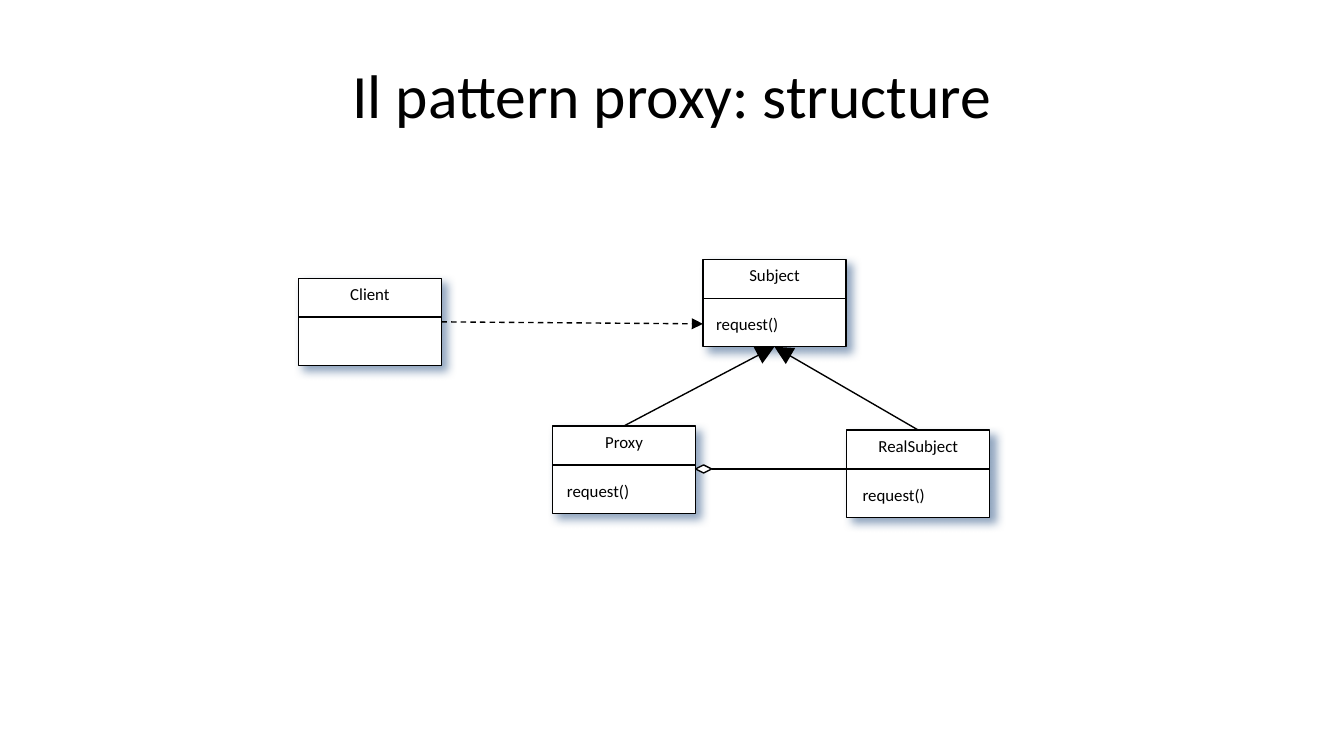
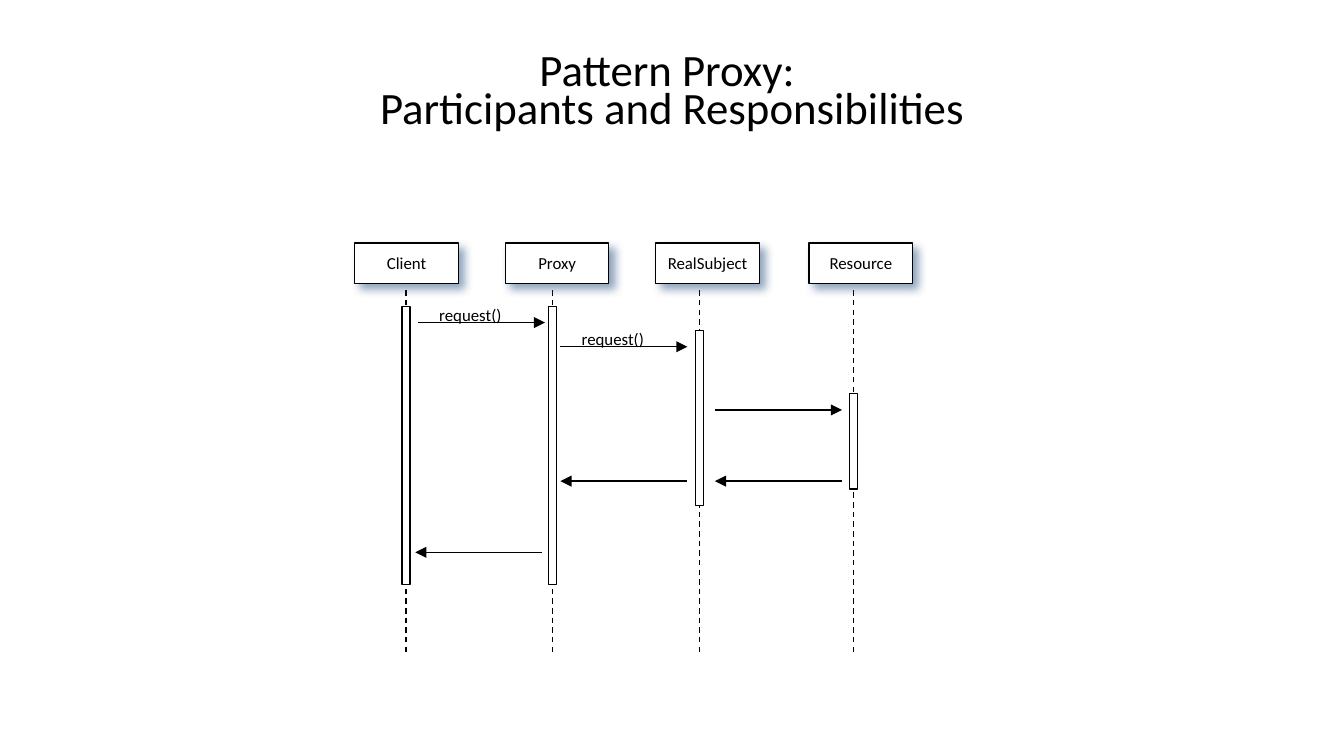
from typing import NamedTuple, Optional

from lxml.etree import SubElement
from pptx import Presentation
from pptx.dml.color import RGBColor
from pptx.enum.dml import MSO_LINE
from pptx.enum.shapes import MSO_CONNECTOR, MSO_SHAPE as Shape
from pptx.enum.text import MSO_ANCHOR, MSO_AUTO_SIZE as AutoSize, PP_ALIGN as Align
from pptx.oxml.ns import qn
from pptx.util import Inches, Pt

# The slide is a grid of 100 square columns by 56.25 rows.
COLS, ROWS = 100, 56.25
CELL = Inches(10) / COLS

FONT = "Calibri"
BLACK, WHITE, SHADOW = "000000", "FFFFFF", "1F497D"
LINE_PT, LABEL_PT = 0.75, 9
TOP, LEFT, BOTTOM, RIGHT = range(4)

LABEL_H, CALL_W, CALL_H = 2.2, 6.7, 2.5
LABEL_W = {"Client": 5, "Proxy": 4.9, "Subject": 5.8, "RealSubject": 8, "Resource": 6.7}

CLASS_W, CLASS_H, NAME_H = 10.65, 6.5, 2.9
DIAMOND_W, DIAMOND_H = 1.2, 0.6

HEAD_Y, HEAD_W, HEAD_H = 18.1, 7.7, 3
LIFE_TOP, LIFE_BOTTOM, BAR_W = 21.6, 48.8, 0.6
MESSAGE_W = 9.45


class UmlClass(NamedTuple):
    name: str
    x: float
    y: float
    call: str = ""
    indent: float = 0


class Participant(NamedTuple):
    name: str
    head_x: float
    axis: float
    start: float
    length: float


class Message(NamedTuple):
    x: float
    y: float
    reply: bool = False
    call: str = ""


class Arrow(NamedTuple):
    end: str = "tailEnd"
    size: str = "med"


CLASSES = [
    UmlClass("Proxy", 41.1, 31.7, "request()", 0.1),
    UmlClass("RealSubject", 63, 32, "request()", 0.2),
    UmlClass("Subject", 52.3, 19.3, "request()"),
    UmlClass("Client", 22.2, 20.7),
]

PARTICIPANTS = [
    Participant("Client", 26.4, 30.2, 22.8, 20.7),
    Participant("Proxy", 37.6, 41.1, 22.8, 20.7),
    Participant("RealSubject", 48.8, 52.05, 24.6, 13),
    Participant("Resource", 60.2, 63.5, 29.3, 7.1),
]

MESSAGES = [
    Message(31.1, 24, call="request()"),
    Message(41.7, 25.8, call="request()"),
    Message(53.2, 30.5),
    Message(53.2, 35.8, reply=True),
    Message(41.7, 35.8, reply=True),
    Message(30.9, 41.1, reply=True),
]


def grid(*cells: float) -> list[int]:
    return [round(n * CELL) for n in cells]


def rgb(color: str) -> RGBColor:
    return RGBColor.from_string(color)


def add_run(p, text: str, size: float) -> None:
    r = p.add_run()
    r.text = text
    r.font.name, r.font.size = FONT, Pt(size)
    r.font.color.rgb = rgb(BLACK)


def add_slide(prs, lines: list[str], size: float, spacing: Optional[float] = None):
    s = prs.slides.add_slide(prs.slide_layouts[5])
    title = s.shapes.title
    title.left, title.top, title.width, title.height = grid(5, 2.3, 90, 9.4)
    tf = title.text_frame
    tf.auto_size, tf.vertical_anchor = AutoSize.NONE, MSO_ANCHOR.MIDDLE
    p = tf.paragraphs[0]
    p.alignment, p.line_spacing = Align.CENTER, spacing
    for i, line in enumerate(lines):
        if i:
            p.add_line_break()
        add_run(p, line, size)
    return s


def add_box(s, x: float, y: float, w: float, h: float,
            kind=Shape.RECTANGLE, shadow: bool = False):
    sp = s.shapes.add_shape(kind, *grid(x, y, w, h))
    sp.fill.solid()
    sp.fill.fore_color.rgb = rgb(WHITE)
    sp.line.color.rgb = rgb(BLACK)
    sp.line.width = Pt(LINE_PT)
    sp.shadow.inherit = False
    if shadow:
        effects = sp._element.spPr.find(qn("a:effectLst"))
        outer = SubElement(effects, qn("a:outerShdw"), blurRad=str(Pt(5)),
                           dist=str(Pt(4.2)), dir=str(45 * 60000),
                           algn="ctr", rotWithShape="0")
        color = SubElement(outer, qn("a:srgbClr"), val=SHADOW)
        SubElement(color, qn("a:alpha"), val="50000")
    return sp


def add_line(s, x1: float, y1: float, x2: float, y2: float,
             arrow: Optional[Arrow] = None, dashed: bool = False):
    line = s.shapes.add_connector(MSO_CONNECTOR.STRAIGHT, *grid(x1, y1, x2, y2))
    line.line.color.rgb = rgb(BLACK)
    line.line.width = Pt(LINE_PT)
    if dashed:
        line.line.dash_style = MSO_LINE.DASH
    sp_pr = line._element.spPr
    if arrow:
        SubElement(sp_pr.find(qn("a:ln")), qn(f"a:{arrow.end}"),
                   type="triangle", w=arrow.size, len=arrow.size)
    SubElement(sp_pr, qn("a:effectLst"))
    return line


def add_text(s, text: str, x: float, y: float, w: float, h: float,
             align=Align.LEFT, spacing: Optional[float] = None) -> None:
    tf = s.shapes.add_textbox(*grid(x, y, w, h)).text_frame
    tf.word_wrap, tf.auto_size = False, AutoSize.SHAPE_TO_FIT_TEXT
    p = tf.paragraphs[0]
    p.alignment, p.line_spacing = align, spacing
    add_run(p, text, LABEL_PT)


def add_name(s, name: str, center: float, y: float) -> None:
    w = LABEL_W[name]
    add_text(s, name, center - w / 2, y, w, LABEL_H, Align.CENTER, 0.8)


def add_class(s, c: UmlClass):
    box = add_box(s, c.x, c.y, CLASS_W, CLASS_H, shadow=True)
    divider = c.y + NAME_H
    add_line(s, c.x, divider, c.x + CLASS_W, divider)
    add_name(s, c.name, c.x + CLASS_W / 2, c.y + 0.2)
    if c.call:
        add_text(s, c.call, c.x + c.indent, c.y + 3.55, CALL_W, CALL_H)
    return box


def add_participant(s, a: Participant) -> None:
    add_line(s, a.axis, LIFE_TOP, a.axis, LIFE_BOTTOM, dashed=True)
    add_box(s, a.head_x, HEAD_Y, HEAD_W, HEAD_H, shadow=True)
    add_name(s, a.name, a.head_x + HEAD_W / 2, HEAD_Y + 0.5)
    add_box(s, a.axis - BAR_W / 2, a.start, BAR_W, a.length)


def add_message(s, m: Message) -> None:
    if m.call:
        add_text(s, m.call, m.x + 0.6, m.y - 1.8, CALL_W, CALL_H)
    arrow = Arrow("headEnd" if m.reply else "tailEnd")
    add_line(s, m.x, m.y, m.x + MESSAGE_W, m.y, arrow)


def build_structure(prs) -> None:
    s = add_slide(prs, ["Il pattern proxy: structure"], 33)
    boxes = {c.name: add_class(s, c) for c in CLASSES}
    at = {c.name: c for c in CLASSES}
    proxy, real, subject, client = (at[n] for n in
                                    ("Proxy", "RealSubject", "Subject", "Client"))

    for child in (proxy, real):
        line = add_line(s, child.x + CLASS_W / 2, child.y,
                        subject.x + CLASS_W / 2, subject.y + CLASS_H,
                        Arrow(size="lg"))
        line.begin_connect(boxes[child.name], TOP)
        line.end_connect(boxes["Subject"], BOTTOM)

    x, y = proxy.x + CLASS_W, real.y + NAME_H
    diamond = add_box(s, x, y - DIAMOND_H / 2, DIAMOND_W, DIAMOND_H, Shape.DIAMOND)
    line = add_line(s, x + DIAMOND_W, y, real.x, y)
    line.begin_connect(diamond, RIGHT)

    line = add_line(s, client.x + CLASS_W, client.y + CLASS_H / 2,
                    subject.x, subject.y + 4.8, Arrow(), dashed=True)
    line.begin_connect(boxes["Client"], RIGHT)


def build_sequence(prs) -> None:
    s = add_slide(prs, ["Pattern Proxy: ", "Participants and Responsibilities"], 24, 0.7)
    for participant in PARTICIPANTS:
        add_participant(s, participant)
    for message in MESSAGES:
        add_message(s, message)


def main() -> None:
    prs = Presentation()
    prs.slide_width, prs.slide_height = grid(COLS, ROWS)
    build_structure(prs)
    build_sequence(prs)
    prs.save("out.pptx")


if __name__ == "__main__":
    main()
